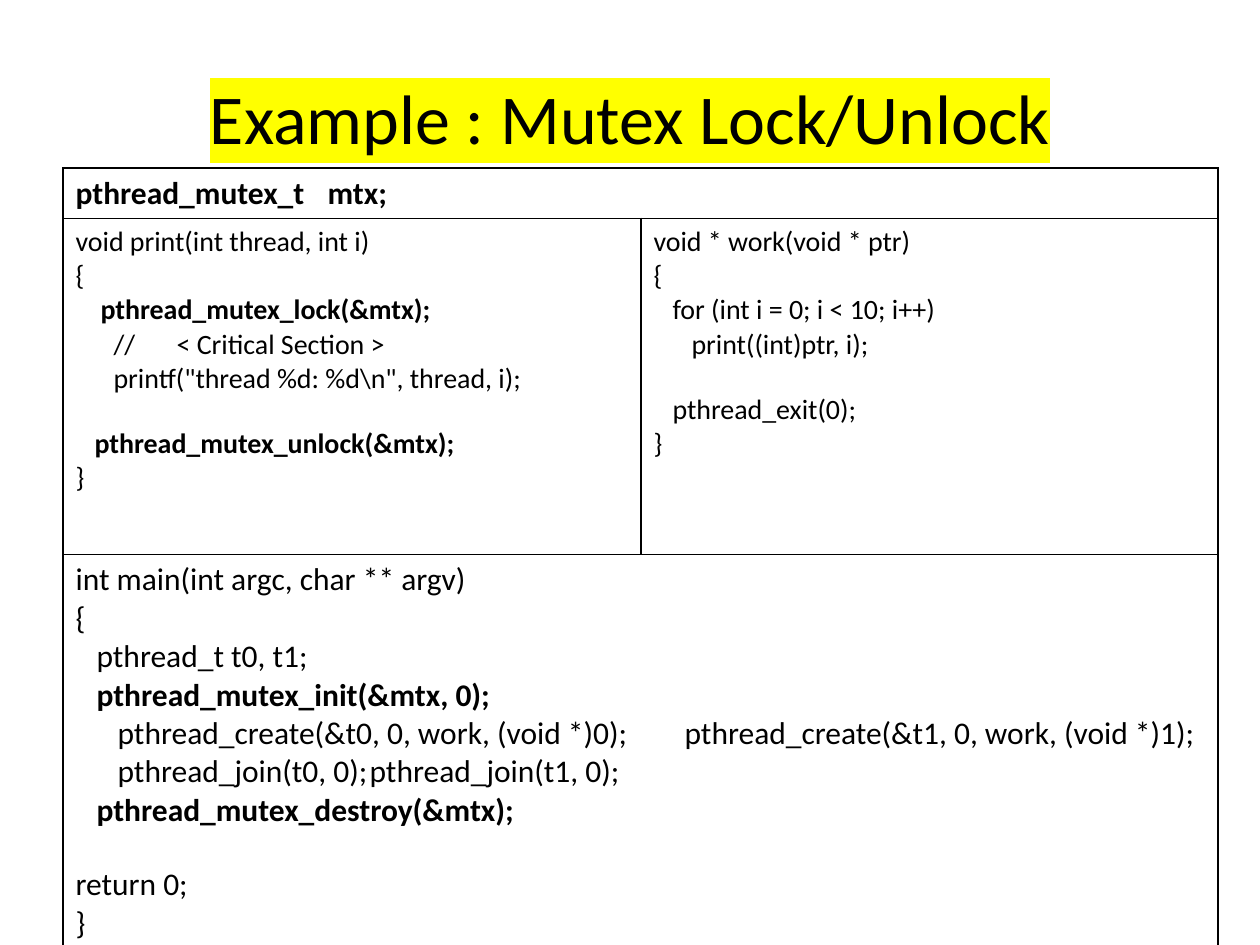
from pptx import Presentation
from pptx import util as u
from pptx.dml.color import RGBColor
from pptx.enum import text
from pptx.oxml import parse_xml
from pptx.oxml.ns import nsdecls

BLACK = RGBColor(0, 0, 0)
WHITE = RGBColor(255, 255, 255)
NS = nsdecls("a")


def px(n):
    return u.Emu(round(n * 914400 / 126))


def write(para, words, size, bold=False):
    run = para.add_run()
    run.text = words
    look = {"name": "Calibri", "size": u.Pt(size), "bold": bold}
    for key, val in look.items():
        setattr(run.font, key, val)
    run.font.color.rgb = BLACK
    return run


deck = Presentation()
deck.slide_width, deck.slide_height = px(1260), px(945)
slide = deck.slides.add_slide(deck.slide_layouts[6])

title = slide.shapes.add_textbox(px(63), px(38), px(1134), px(157)).text_frame
form = {"word_wrap": True, "vertical_anchor": text.MSO_ANCHOR.MIDDLE}
for key, val in form.items():
    setattr(title, key, val)
head = title.paragraphs[0]
head.alignment = text.PP_ALIGN.CENTER
run = write(head, "Example : Mutex Lock/Unlock", 40)
mark = parse_xml(f'<a:highlight {NS}><a:srgbClr val="FFFF00"/></a:highlight>')
run.font.fill._xPr.solidFill.addnext(mark)

table = slide.shapes.add_table(3, 2, px(63), px(168), px(1155), px(780)).table
for key in ("first_row", "horz_banding"):
    setattr(table, key, False)
for col, width in zip(table.columns, (578, 577)):
    col.width = px(width)
for row, height in zip(table.rows, (50, 336, 394)):
    row.height = px(height)
for num in (0, 2):
    table.cell(num, 0).merge(table.cell(num, 1))

for cell in table.iter_cells():
    cell.fill.solid()
    cell.fill.fore_color.rgb = WHITE
    props = cell._tc.get_or_add_tcPr()
    for num, side in enumerate(("lnL", "lnR", "lnT", "lnB")):
        edge = parse_xml(
            f'<a:{side} {NS} w="12192"><a:solidFill><a:srgbClr val="{BLACK}"/>'
            f"</a:solidFill></a:{side}>"
        )
        props.insert(num, edge)

# fields: text, indent, bold, gap before, tab stop
code = {
    (0, 0, 18): [("pthread_mutex_t\tmtx;", 0, True, 0, 264)],
    (1, 0, 16): [
        ("void print(int thread, int i)", 0, False, 0, 0),
        ("{", 0, False, 0, 0),
        ("pthread_mutex_lock(&mtx);", 25, True, 0, 0),
        ("//\t< Critical Section >", 38, False, 0, 97),
        ('printf("thread %d: %d\\n", thread, i);', 38, False, 0, 0),
        ("pthread_mutex_unlock(&mtx);", 19, True, 31, 0),
        ("}", 0, False, 0, 0),
    ],
    (1, 1, 16): [
        ("void * work(void * ptr)", 0, False, 0, 0),
        ("{", 0, False, 0, 0),
        ("for (int i = 0; i < 10; i++)", 19, False, 0, 0),
        ("print((int)ptr, i);", 38, False, 0, 0),
        ("pthread_exit(0);", 19, False, 31, 0),
        ("}", 0, False, 0, 0),
    ],
    (2, 0, 18): [
        ("int main(int argc, char ** argv)", 0, False, 0, 0),
        ("{", 0, False, 0, 0),
        ("pthread_t t0, t1;", 21, False, 0, 0),
        ("pthread_mutex_init(&mtx, 0);", 21, True, 0, 0),
        ("pthread_create(&t0, 0, work, (void *)0);\tpthread_create(&t1, 0, work, (void *)1);",
         42, False, 0, 588),
        ("pthread_join(t0, 0);\tpthread_join(t1, 0);", 42, False, 0, 591),
        ("pthread_mutex_destroy(&mtx);", 21, True, 0, 0),
        ("return 0;", 0, False, 36, 0),
        ("}", 0, False, 0, 0),
    ],
}
for (row, col, size), lines in code.items():
    frame = table.cell(row, col).text_frame
    for num, (words, dent, bold, gap, stop) in enumerate(lines):
        para = frame.add_paragraph() if num else frame.paragraphs[0]
        para.space_before = px(gap)
        write(para, words, size, bold)
        props = para._p.get_or_add_pPr()
        props.set("marL", str(px(dent)))
        props.set("indent", "0")
        if stop:
            tabs = f'<a:tabLst {NS}><a:tab pos="{px(stop)}" algn="l"/></a:tabLst>'
            props.append(parse_xml(tabs))

deck.save("out.pptx")
